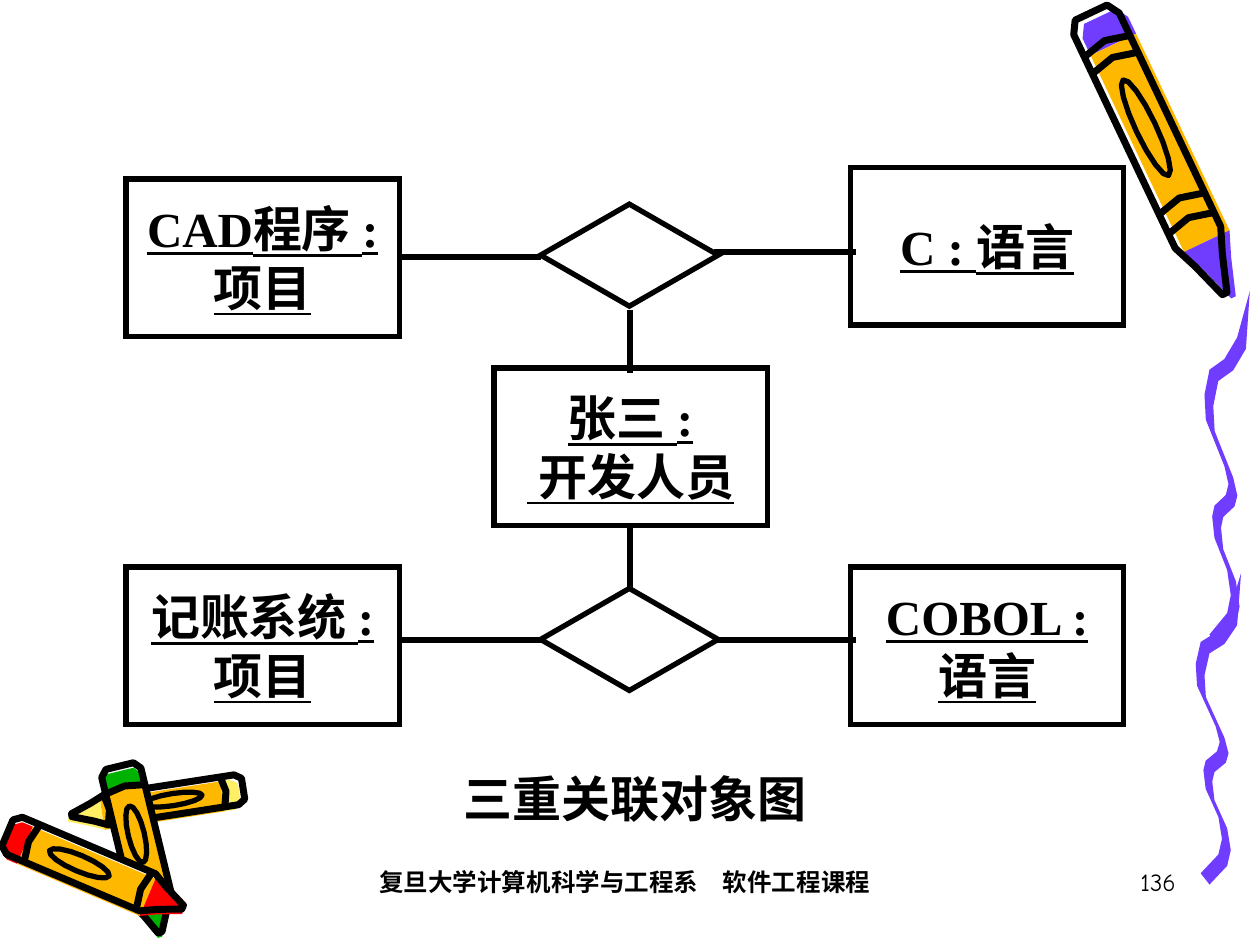
from dataclasses import dataclass
from math import cos, hypot, pi, sin

from lxml import etree
from pptx import Presentation
from pptx.dml.color import RGBColor
from pptx.enum.shapes import MSO_CONNECTOR, MSO_SHAPE
from pptx.enum.text import MSO_ANCHOR as ANCHOR, PP_ALIGN as ALIGN
from pptx.oxml.ns import qn
from pptx.util import Inches, Pt

BLACK = RGBColor(0x00, 0x00, 0x00)
WHITE = RGBColor(0xFF, 0xFF, 0xFF)
PURPLE = RGBColor(0x70, 0x3D, 0xFF)
ORANGE = RGBColor(0xFF, 0xB8, 0x00)
YELLOW = RGBColor(0xFF, 0xEF, 0x66)
RED = RGBColor(0xFF, 0x00, 0x00)
GREEN = RGBColor(0x00, 0xB2, 0x00)

LABEL = {"name": "Times New Roman", "size": Pt(28), "bold": True}
OBJECT = {**LABEL, "underline": True}
FOOTER = {"name": "Comic Neue", "size": Pt(14), "bold": True}
NUMBER = {**FOOTER, "bold": False}

# Diagram grid, in inches
BOX_W, BOX_H = 2.17, 1.25
DIAMOND_W, DIAMOND_H = 1.41, 0.81
LEFT_X, CENTER_X, RIGHT_X = 1, 3.92, 6.75
DIAMOND_X, STEM_X = 4.29, 5

# One side of each crayon part: (share of length, share of half width)
CAP = [(0, 0.7), (0.04, 1), (0.1, 1)]
BARREL = [(0.1, 1), (0.8, 1)]
TIP = [(0.8, 1), (0.88, 0.6), (1, 0.1)]

# Left edge of a squiggle, as shares of its width and height
SQUIGGLE = [(1, 0), (0.72, 0.13), (0.44, 0.19), (0.11, 0.22), (0, 0.29), (0.03, 0.36),
            (0.44, 0.49), (0.53, 0.54), (0.47, 0.57), (0.22, 0.6), (0.17, 0.63),
            (0.22, 0.69), (0.5, 0.78), (0.58, 0.85), (0.5, 0.9), (0.11, 0.96)]


@dataclass
class Crayon:
    tail: tuple
    tip: tuple
    half_width: float
    color: RGBColor   # cap and tip
    bands: tuple      # shares of the length
    shift: tuple      # colour printed slightly off the ink

    def place(self, points, shift=(0, 0)):
        """Turn (along, across) shares into slide positions."""
        (x0, y0), (x1, y1) = self.tail, self.tip
        dx, dy = x1 - x0, y1 - y0
        scale = self.half_width / hypot(dx, dy)
        return [(x0 + u * dx - v * dy * scale + shift[0],
                 y0 + u * dy + v * dx * scale + shift[1]) for u, v in points]


CRAYONS = [
    Crayon((8.66, 0.1), (9.72, 2.33), 0.2, PURPLE, (0.12, 0.18, 0.68, 0.75), (0.07, 0.03)),
    Crayon((1.93, 6.26), (0.57, 6.47), 0.12, YELLOW, (0.12, 0.8), (-0.03, 0.04)),
    Crayon((0.95, 6.08), (1.27, 7.4), 0.16, GREEN, (0.14, 0.8), (0, 0.04)),
    Crayon((0.06, 6.61), (1.45, 7.2), 0.16, RED, (0.14, 0.78), (0, 0.04)),
]


def mirror(side):
    """Close a one-sided profile with its reflection."""
    return side + [(u, -v) for u, v in reversed(side)]


def add_outline(slide, points, fill=None, ink=None, close=True):
    start, *rest = [(Inches(x), Inches(y)) for x, y in points]
    builder = slide.shapes.build_freeform(*start)
    builder.add_line_segments(rest, close=close)
    s = builder.convert_to_shape()
    s.shadow.inherit = False
    if fill is None:
        s.fill.background()
    else:
        s.fill.solid()
        s.fill.fore_color.rgb = fill
    if ink is None:
        s.line.fill.background()
    else:
        s.line.color.rgb = BLACK
        s.line.width = Pt(ink)


def add_crayon(slide, crayon):
    silhouette = crayon.place(mirror(CAP + TIP))
    add_outline(slide, silhouette, fill=WHITE)

    # Colour
    for part, color in ((CAP, crayon.color), (BARREL, ORANGE), (TIP, crayon.color)):
        add_outline(slide, crayon.place(mirror(part), crayon.shift), fill=color)

    # Ink: outline, curved bands, oval label
    add_outline(slide, silhouette, ink=4)
    for u in crayon.bands:
        add_outline(slide, crayon.place([(u, -1), (u - 0.02, 0), (u, 1)]), ink=4, close=False)
    angles = [i * pi / 8 for i in range(16)]
    oval = [(0.41 + 0.17 * cos(a), 0.4 * sin(a)) for a in angles]
    add_outline(slide, crayon.place(oval), ink=3)


def add_squiggle(slide, x, y, w, h):
    left = [(x + u * w, y + v * h) for u, v in SQUIGGLE]
    right = [(px + 0.07, py + 0.09) for px, py in left[1:]]
    add_outline(slide, left + right[::-1], fill=PURPLE)


def add_line(slide, x1, y1, x2, y2):
    ends = map(Inches, (x1, y1, x2, y2))
    c = slide.shapes.add_connector(MSO_CONNECTOR.STRAIGHT, *ends)
    c.line.color.rgb = BLACK
    c.line.width = Pt(3)
    etree.SubElement(c._element.spPr, qn("a:effectLst"))


def write_text(s, lines, font, align=ALIGN.CENTER, anchor=ANCHOR.MIDDLE, wrap=True):
    tf = s.text_frame
    tf.word_wrap = wrap
    tf.vertical_anchor = anchor
    for i, line in enumerate(lines):
        p = tf.add_paragraph() if i else tf.paragraphs[0]
        p.alignment = align
        p._p.get_or_add_pPr().set("hangingPunct", "0")  # keep colons inside the box
        r = p.add_run()
        r.text = line
        r.font.color.rgb = BLACK
        for key, value in font.items():
            setattr(r.font, key, value)


def add_outlined(slide, kind, x, y, w, h):
    s = slide.shapes.add_shape(kind, *map(Inches, (x, y, w, h)))
    s.shadow.inherit = False
    s.fill.background()
    s.line.color.rgb = BLACK
    s.line.width = Pt(3)
    ln = s._element.spPr.find(qn("a:ln"))
    etree.SubElement(ln, qn("a:miter"), lim="800000")  # sharp corners
    return s


def add_object(slide, x, y, *lines):
    s = add_outlined(slide, MSO_SHAPE.RECTANGLE, x, y, BOX_W, BOX_H)
    write_text(s, lines, OBJECT)


def add_link(slide, y, left_y, right_y, stem_y):
    """Diamond joined to the boxes on both sides and to the middle box."""
    add_outlined(slide, MSO_SHAPE.FLOWCHART_DECISION, DIAMOND_X, y, DIAMOND_W, DIAMOND_H)
    add_line(slide, DIAMOND_X, left_y, LEFT_X + BOX_W, left_y)
    add_line(slide, STEM_X, stem_y, STEM_X, stem_y + 0.5)
    add_line(slide, 6.79, right_y, 5.67, right_y)


def add_text(slide, x, y, w, text, font, **layout):
    s = slide.shapes.add_textbox(*map(Inches, (x, y, w, 0.5)))
    write_text(s, [text], font, **layout)


def main():
    prs = Presentation()
    prs.slide_width, prs.slide_height = Inches(10), Inches(7.5)
    slide = prs.slides.add_slide(prs.slide_layouts[6])

    # Decoration
    for crayon in CRAYONS:
        add_crayon(slide, crayon)
    add_squiggle(slide, 9.49, 4.55, 0.36, 2.48)
    add_squiggle(slide, 9.56, 2.31, 0.36, 2.84)

    # Objects
    add_object(slide, LEFT_X, 1.42, "CAD程序 : 项目")
    add_object(slide, RIGHT_X, 1.33, "C : 语言")
    add_object(slide, LEFT_X, 4.5, "记账系统 : 项目")
    add_object(slide, RIGHT_X, 4.5, "COBOL : 语言")
    add_object(slide, CENTER_X, 2.92, "张三 :", " 开发人员")

    # Ternary links
    add_link(slide, 4.67, left_y=5.08, right_y=5.08, stem_y=4.17)
    add_link(slide, 1.62, left_y=2.04, right_y=2, stem_y=2.46)

    # Caption, footer and page number
    add_text(slide, 3.33, 6.08, 3.42, "三重关联对象图", LABEL, wrap=False)
    add_text(slide, 2, 6.83, 5.92, "复旦大学计算机科学与工程系　软件工程课程", FOOTER,
             anchor=ANCHOR.TOP)
    add_text(slide, 7.35, 6.83, 2.08, "136", NUMBER, align=ALIGN.RIGHT, anchor=ANCHOR.TOP)

    prs.save("out.pptx")


if __name__ == "__main__":
    main()
